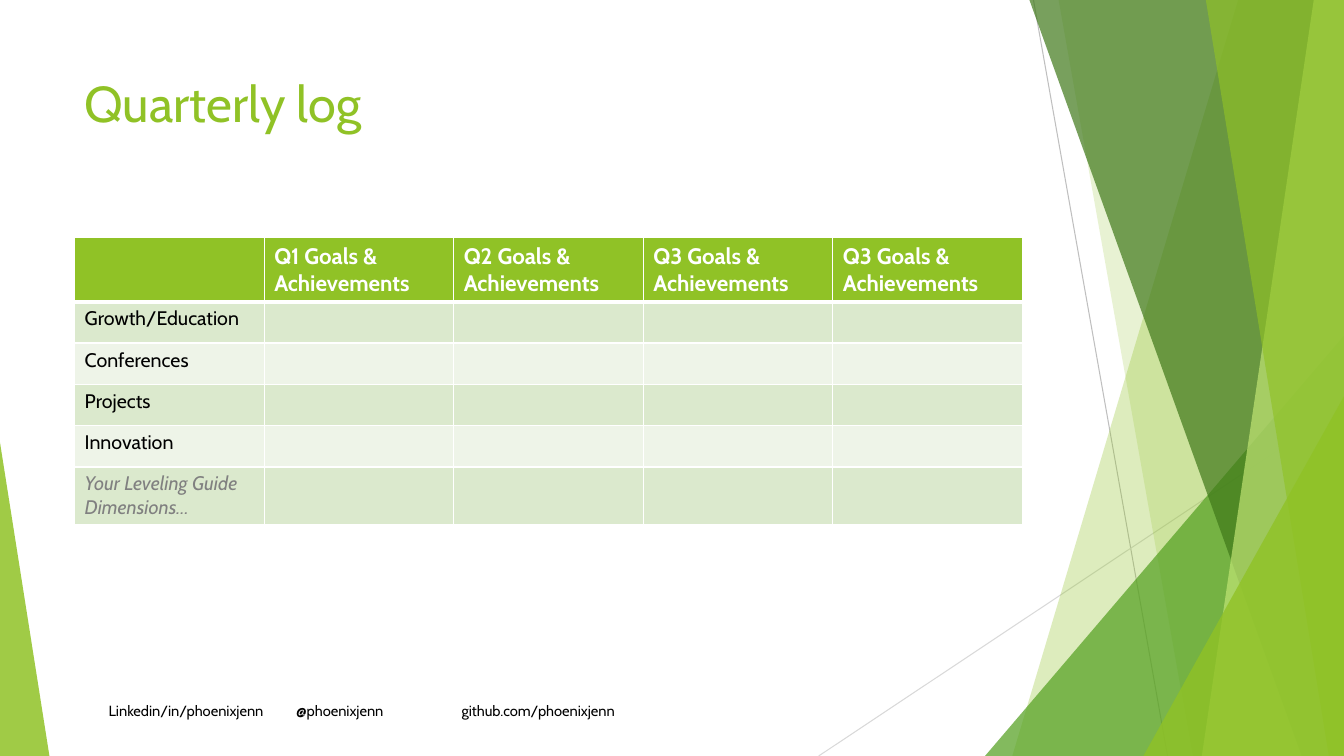
"""Builds the quarterly log slide: a goals table beside translucent green facets."""
from lxml import etree
from pptx import Presentation
from pptx.dml.color import RGBColor
from pptx.enum.shapes import MSO_CONNECTOR, MSO_SHAPE
from pptx.oxml.ns import qn
from pptx.util import Inches, Pt

STRAIGHT = MSO_CONNECTOR.STRAIGHT
TRIANGLE = MSO_SHAPE.ISOSCELES_TRIANGLE
FONT = "Cabin"
GREEN = "90C226"
WIDTH, HEIGHT = 13.33, 7.5


def rgb(value):
    return RGBColor.from_string(value)


def style(paragraph, size, color, bold=False, italic=False):
    font = paragraph.font
    font.name, font.size, font.bold, font.italic = FONT, Pt(size), bold, italic
    font.color.rgb = rgb(color)


deck = Presentation()
deck.slide_width, deck.slide_height = Inches(WIDTH), Inches(HEIGHT)
slide = deck.slides.add_slide(deck.slide_layouts[6])
shapes = slide.shapes

for x1, y1, x2, y2, color in [
    (10.25, 0, 11.58, HEIGHT, "BFBFBF"),
    (WIDTH, 4.03, 8.12, HEIGHT, "D9D9D9"),
]:
    ray = shapes.add_connector(STRAIGHT, Inches(x1), Inches(y1), Inches(x2), Inches(y2))
    ray.line.color.rgb = rgb(color)
    ray.line.width = Pt(0.75)
    etree.SubElement(ray._element.spPr, qn("a:effectLst"))

facets = [
    ({"top_x": 12.28, "bottom_x": 10.04}, GREEN, 30),
    ({"top_x": 10.5, "bottom_x": 11.83}, GREEN, 20),
    ({"left": 9.77, "top": 3.33, "width": 3.56, "apex": 1}, "54A021", 72),
    ({"top_x": 10.21, "bottom_x": 12.91}, "3F7819", 70),
    ({"top_x": 13.03, "bottom_x": 11.92}, "C0E474", 70),
    ({"top_x": 11.96, "bottom_x": 13.18}, GREEN, 65),
    ({"left": 11.34, "top": 3.93, "width": 1.99, "apex": 1}, GREEN, 80),
    ({"left": 0, "top": 4.39, "width": 0.49, "apex": 0}, GREEN, 85),
]
for outline, color, opacity in facets:
    if "top_x" in outline:
        band = shapes.build_freeform(Inches(outline["top_x"]), 0)
        band.add_line_segments([
            (Inches(WIDTH), 0),
            (Inches(WIDTH), Inches(HEIGHT)),
            (Inches(outline["bottom_x"]), Inches(HEIGHT)),
        ])
        facet = band.convert_to_shape()
    else:
        facet = shapes.add_shape(
            TRIANGLE, Inches(outline["left"]), Inches(outline["top"]),
            Inches(outline["width"]), Inches(HEIGHT - outline["top"]),
        )
        facet.adjustments[0] = outline["apex"]
    facet.shadow.inherit = False
    facet.line.fill.background()
    facet.fill.solid()
    facet.fill.fore_color.rgb = rgb(color)
    tint = facet._element.spPr.find(".//" + qn("a:srgbClr"))
    etree.SubElement(tint, qn("a:alpha"), val=str(opacity * 1000))

contacts = shapes.add_textbox(Inches(0.98), Inches(6.91), Inches(6.67), Inches(0.29))
contacts.text_frame.word_wrap = True
contact_line = contacts.text_frame.paragraphs[0]
contact_line.text = "Linkedin/in/phoenixjenn\t@phoenixjenn\tgithub.com/phoenixjenn"
tabs = etree.SubElement(contact_line._p.get_or_add_pPr(), qn("a:tabLst"))
for position in (1.86, 3.5):
    etree.SubElement(tabs, qn("a:tab"), pos=str(Inches(position)), algn="l")
style(contact_line, 10.5, "000000")

title = shapes.add_textbox(Inches(0.74), Inches(0.67), Inches(9.4), Inches(1.44))
title.text_frame.word_wrap = True
title.text_frame.text = "Quarterly log"
style(title.text_frame.paragraphs[0], 36, GREEN)

quarters = ["Q1", "Q2", "Q3", "Q3"]
headings = [""] + [f"{quarter} Goals & Achievements" for quarter in quarters]
dimensions = ["Growth/Education", "Conferences", "Projects", "Innovation",
              "Your Leveling Guide Dimensions…"]
row_heights = [0.63] + [0.41] * 4 + [0.56]
log = shapes.add_table(
    len(row_heights), len(headings),
    Inches(0.74), Inches(2.36), Inches(9.4), Inches(sum(row_heights)),
).table
log.first_row = log.horz_banding = False
for column in log.columns:
    column.width = Inches(1.88)
for r, height in enumerate(row_heights):
    log.rows[r].height = Inches(height)
    for c, heading in enumerate(headings):
        cell = log.cell(r, c)
        if r == 0:
            cell.text = heading
            style(cell.text_frame.paragraphs[0], 16, "FFFFFF", bold=True)
            color = GREEN
        else:
            cell.text = dimensions[r - 1] if c == 0 else ""
            custom = r == len(dimensions)
            ink = "808080" if custom else "000000"
            style(cell.text_frame.paragraphs[0], 14, ink, italic=custom)
            color = "DBE9CD" if r % 2 else "EEF4E8"
        borders = {"lnL": 1, "lnR": 1, "lnT": 3 if r == 1 else 1, "lnB": 3 if r == 0 else 1}
        for side, weight in borders.items():
            edge = etree.SubElement(
                cell._tc.get_or_add_tcPr(), qn("a:" + side), w=str(Pt(weight))
            )
            edge_fill = etree.SubElement(edge, qn("a:solidFill"))
            etree.SubElement(edge_fill, qn("a:srgbClr"), val="FFFFFF")
        cell.fill.solid()
        cell.fill.fore_color.rgb = rgb(color)

deck.save("out.pptx")
